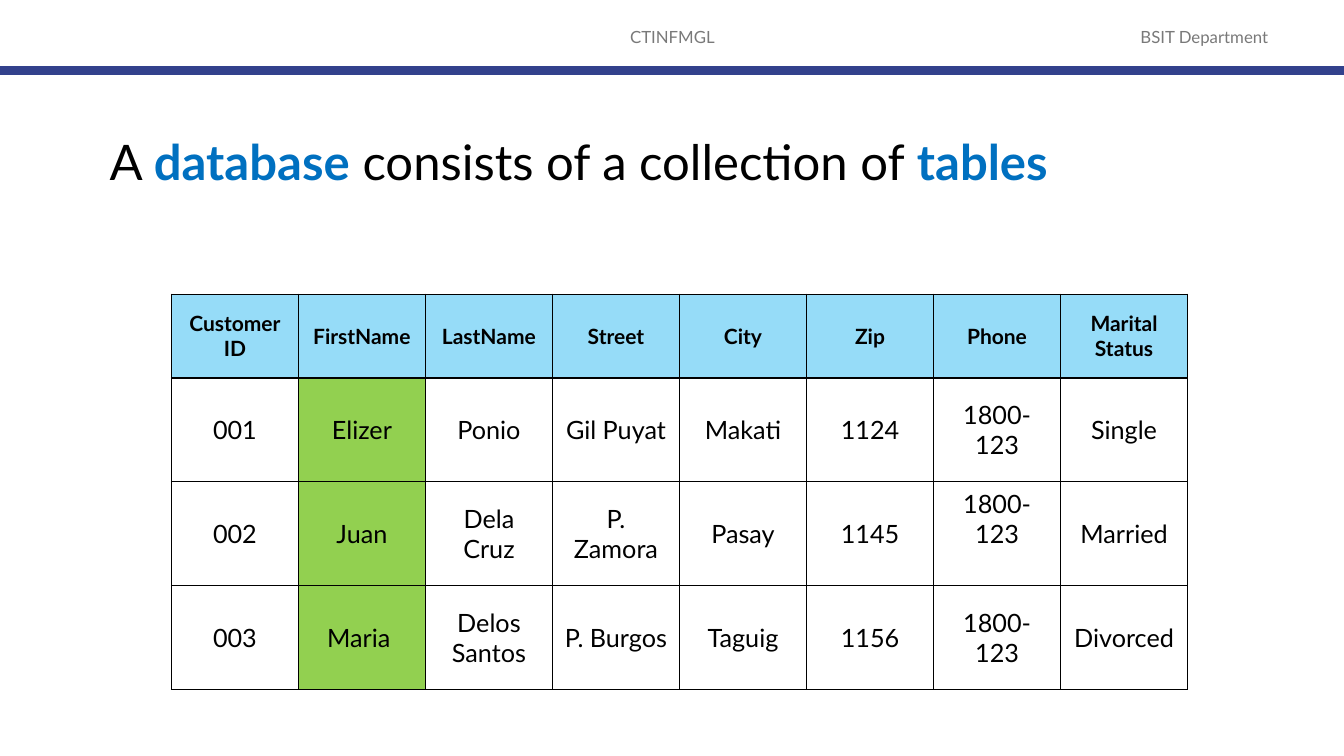
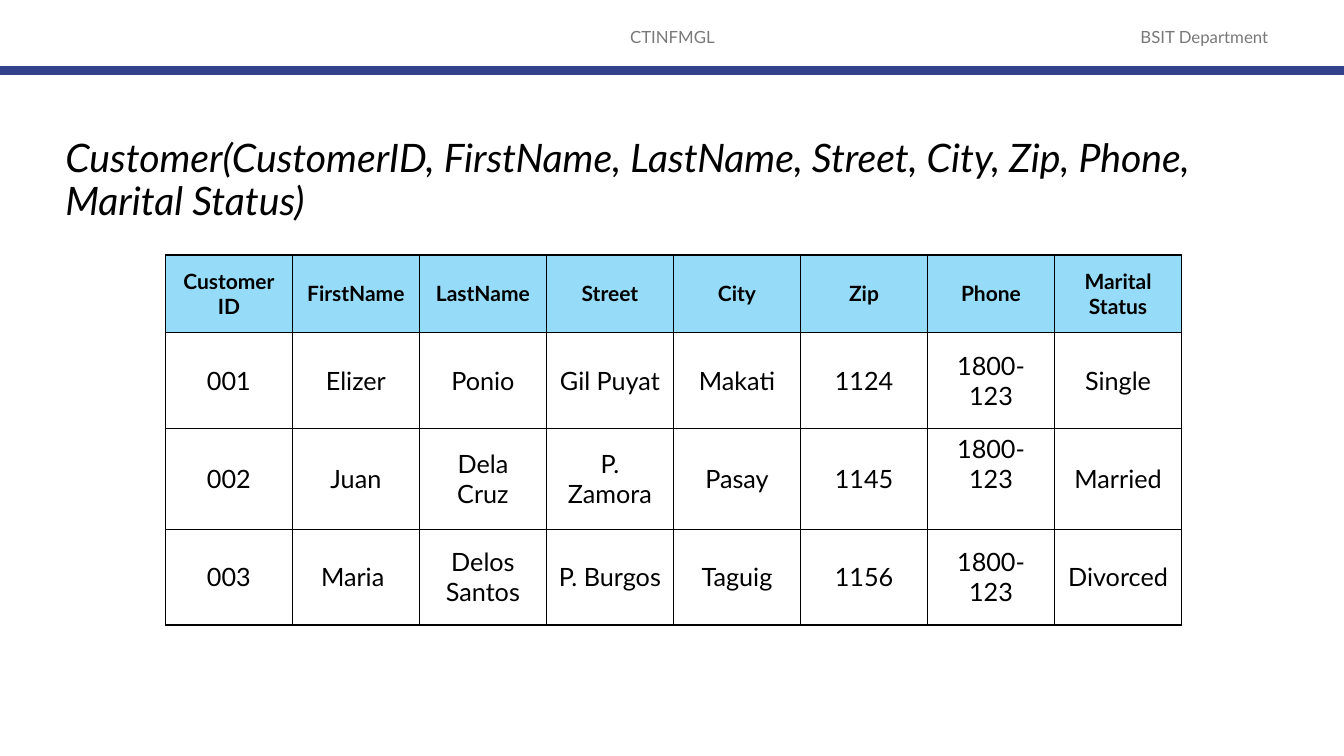
from lxml import etree
from pptx import Presentation
from pptx.dml.color import RGBColor
from pptx.enum.shapes import MSO_CONNECTOR
from pptx.enum.text import MSO_ANCHOR, PP_ALIGN
from pptx.oxml.ns import qn
from pptx.util import Inches, Pt

LINE = MSO_CONNECTOR.STRAIGHT
TOP, MIDDLE = MSO_ANCHOR.TOP, MSO_ANCHOR.MIDDLE
LEFT, CENTER = PP_ALIGN.LEFT, PP_ALIGN.CENTER

WIDTH, HEIGHT = 13.33, 7.5
FONT = "Lato"
BLACK, GRAY, NAVY = "000000", "797979", "32418C"
BLUE, SKY, GREEN = "0070C0", "96DCF8", "92D050"

HEADS = ["Customer\nID", "FirstName", "LastName", "Street",
         "City", "Zip", "Phone", "Marital Status"]
ROWS = [
    ["001", "Elizer", "Ponio", "Gil Puyat", "Makati", "1124", "1800-123", "Single"],
    ["002", "Juan", "Dela Cruz", "P. Zamora", "Pasay", "1145", "1800-123", "Married"],
    ["003", "Maria ", "Delos Santos", "P. Burgos", "Taguig", "1156", "1800-123", "Divorced"],
]
RAISED = (2, 6)  # cell whose text sits half a line higher


def color(code):
    return RGBColor.from_string(code)


class Deck:
    def __init__(self):
        self.file = Presentation()
        self.file.slide_width = Inches(WIDTH)
        self.file.slide_height = Inches(HEIGHT)
        self.slide = None

    def start(self):
        """Add a slide with the shared header."""
        self.slide = self.file.slides.add_slide(self.file.slide_layouts[6])
        self.text(4.42, 0.17, 4.5, 0.4, ["CTINFMGL"], 12, GRAY, CENTER, MIDDLE)
        self.text(10.92, 0.17, 2.05, 0.4, ["BSIT Department"], 12, GRAY, CENTER, MIDDLE)
        self.rule(0.7)

    def style(self, font, size, shade, bold=False, slant=False):
        font.name, font.size = FONT, Pt(size)
        font.bold, font.italic = bold, slant
        font.color.rgb = color(shade)

    def text(self, x, y, w, h, parts, size, shade=BLACK,
             align=LEFT, anchor=TOP, slant=False, space=1.0):
        """Add a text box; a part given as a tuple is a bold blue keyword."""
        box = self.slide.shapes.add_textbox(Inches(x), Inches(y), Inches(w), Inches(h))
        frame = box.text_frame
        frame.word_wrap = True
        frame.vertical_anchor = anchor
        para = frame.paragraphs[0]
        para.alignment, para.line_spacing = align, space
        self.style(para.font, size, shade, slant=slant)
        for part in parts:
            run = para.add_run()
            if isinstance(part, tuple):
                run.text = part[0]
                self.style(run.font, size, BLUE, bold=True)
            else:
                run.text = part
                self.style(run.font, size, shade, slant=slant)

    def rule(self, y):
        line = self.slide.shapes.add_connector(
            LINE, Inches(0), Inches(y), Inches(WIDTH), Inches(y))
        line.line.color.rgb = color(NAVY)
        line.line.width = Pt(6)
        props = line._element.spPr
        etree.SubElement(props, qn("a:effectLst"))

    def border(self, cell):
        props = cell._tc.get_or_add_tcPr()
        for spot, side in enumerate(("lnL", "lnR", "lnT", "lnB")):
            edge = etree.Element(qn("a:" + side), w=str(Pt(1)))
            fill = etree.SubElement(edge, qn("a:solidFill"))
            etree.SubElement(fill, qn("a:srgbClr"), val=BLACK)
            props.insert(spot, edge)

    def cell(self, cell, words, size, bold, fill):
        cell.text = words
        cell.vertical_anchor = MIDDLE
        for para in cell.text_frame.paragraphs:
            para.alignment = CENTER
            self.style(para.font, size, BLACK, bold)
        if fill:
            cell.fill.solid()
            cell.fill.fore_color.rgb = color(fill)
        else:
            cell.fill.background()
        self.border(cell)

    def table(self, x, y, head, body, marked=None):
        """Add the customer table; marked is the column filled green."""
        data = [HEADS] + ROWS
        wide = 1.26
        tall = [head] + [body] * len(ROWS)
        frame = self.slide.shapes.add_table(
            len(data), len(HEADS), Inches(x), Inches(y),
            Inches(wide * len(HEADS)), Inches(sum(tall)))
        grid = frame.table
        grid.first_row = grid.horz_banding = False
        for col in grid.columns:
            col.width = Inches(wide)
        for r, row in enumerate(data):
            grid.rows[r].height = Inches(tall[r])
            for c, words in enumerate(row):
                if r == 0:
                    self.cell(grid.cell(r, c), words, 15, True, SKY)
                else:
                    fill = GREEN if c == marked else None
                    self.cell(grid.cell(r, c), words, 18, False, fill)
        grid.cell(*RAISED).margin_bottom = Inches(0.35)


def main():
    deck = Deck()

    # Slide 1: a database is made of tables
    deck.start()
    deck.text(0.99, 1.32, 11.5, 1,
              ["A ", ("database",), " consists of a collection of ", ("tables",)],
              35, space=0.9)
    deck.table(1.7, 2.92, 0.83, 1.03, marked=1)

    # Slide 2: the schema of the table
    deck.start()
    deck.text(0.55, 1.33, 12.23, 1.03,
              ["Customer(CustomerID, FirstName, LastName, Street, City, Zip, "
               "Phone, Marital Status)"], 28, slant=True, space=0.9)
    deck.table(1.64, 2.53, 0.77, 0.95)

    deck.file.save("out.pptx")


if __name__ == "__main__":
    main()
